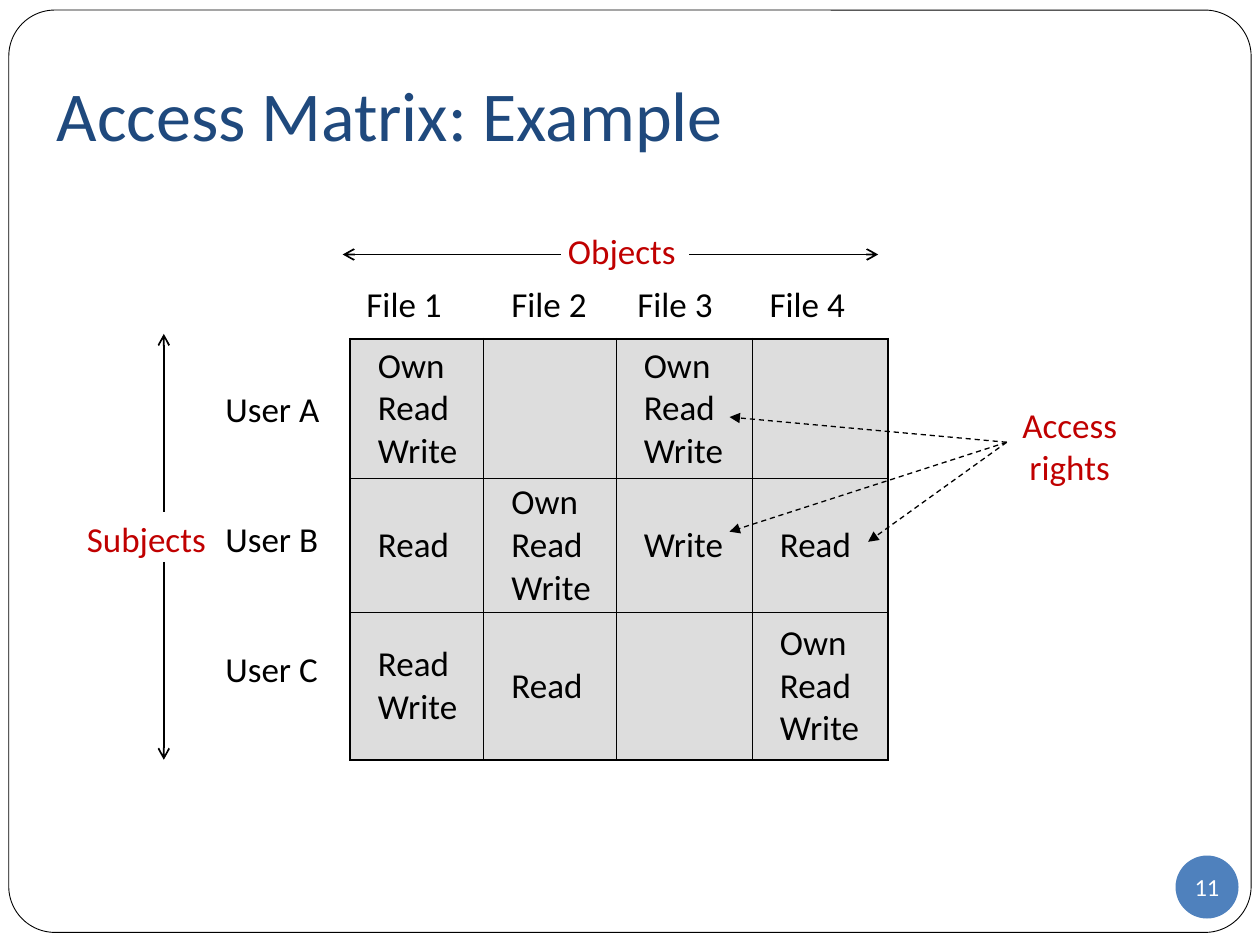
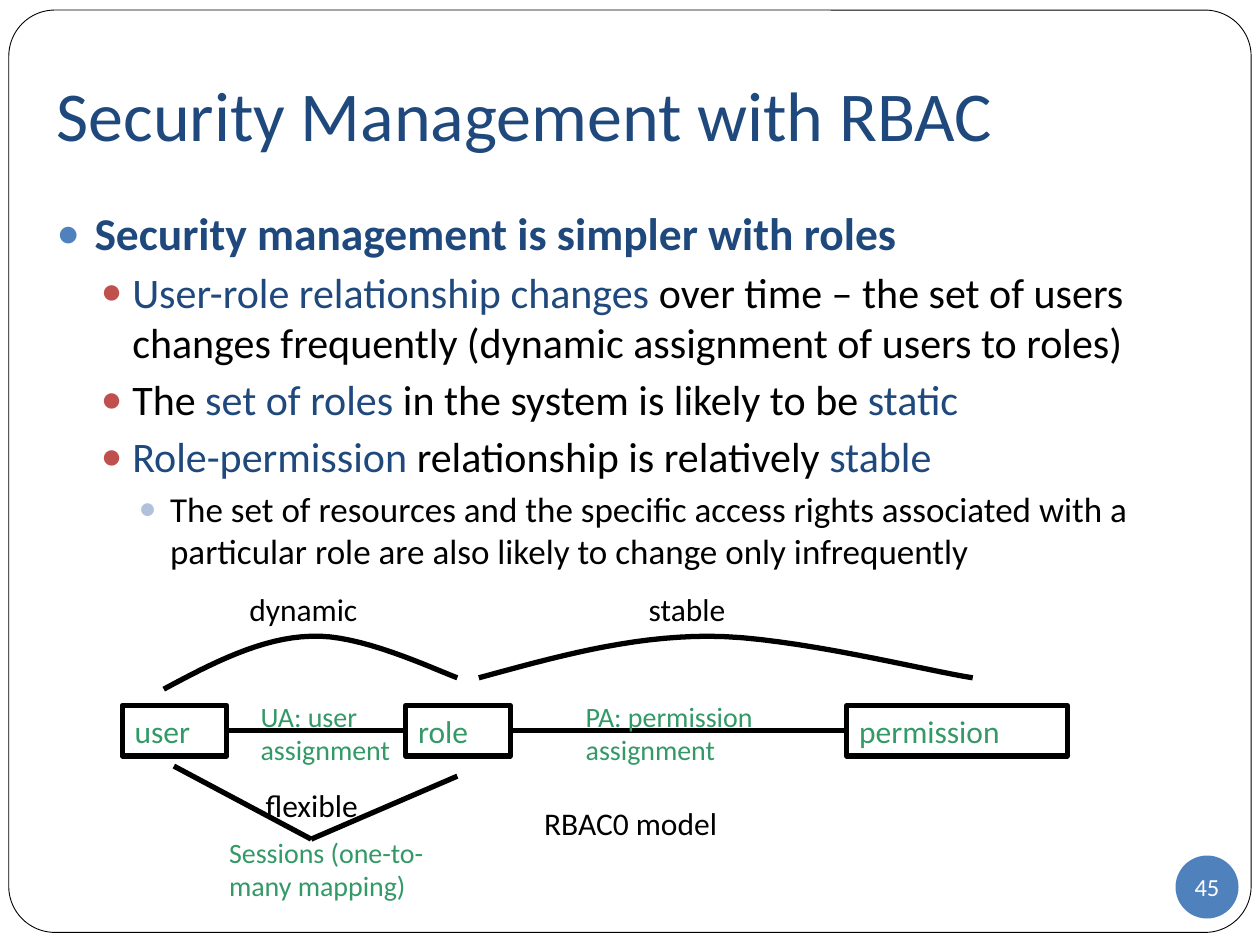
from dataclasses import dataclass
from typing import NamedTuple

from lxml.etree import SubElement
from pptx import Presentation
from pptx.dml.color import RGBColor
from pptx.enum.dml import MSO_LINE
from pptx.enum.shapes import MSO_CONNECTOR, MSO_SHAPE
from pptx.enum.text import MSO_ANCHOR, MSO_AUTO_SIZE, PP_ALIGN
from pptx.oxml.ns import qn
from pptx.util import Inches, Pt


@dataclass(frozen=True)
class Theme:
    font: str = "Calibri"
    black: str = "000000"
    white: str = "FFFFFF"
    navy: str = "1F497D"
    blue: str = "4F81BD"
    brick: str = "C0504D"
    pale_blue: str = "B2C1DB"
    red: str = "C00000"
    green: str = "339966"
    cell: str = "DDDDDD"
    title_size: float = 40
    matrix_size: float = 20
    box_size: float = 18
    note_size: float = 16
    number_size: float = 14
    frame_line: float = 0.5
    grid_line: float = 0.75
    axis_line: float = 1
    outer_line: float = 1.5
    heavy_line: float = 3


THEME = Theme()


class Point(NamedTuple):
    x: float
    y: float


class Label(NamedTuple):
    text: str
    left: float
    top: float
    width: float
    height: float
    size: float = THEME.matrix_size
    color: str = THEME.black
    align: PP_ALIGN = PP_ALIGN.LEFT


class Level(NamedTuple):
    size: float
    indent: float
    hanging: float
    space_before: float
    bullet_color: str
    bold: bool = False


class Bullet(NamedTuple):
    level: int
    phrases: list[tuple[str, str]]


LEVELS = [
    Level(26, 0.3, 0.3, 5.8, THEME.blue, bold=True),
    Level(24, 0.6, 0.25, 3.7, THEME.brick),
    Level(20, 0.9, 0.25, 3.7, THEME.pale_blue),
]


# Shared drawing functions
def rgb(color: str) -> RGBColor:
    return RGBColor.from_string(color)


def place(shape, left: float, top: float, width: float, height: float) -> None:
    shape.left, shape.top = Inches(left), Inches(top)
    shape.width, shape.height = Inches(width), Inches(height)


def set_margins(target, left: float, top: float, right: float, bottom: float) -> None:
    target.margin_left, target.margin_top = Inches(left), Inches(top)
    target.margin_right, target.margin_bottom = Inches(right), Inches(bottom)


def format_font(font, size: float, color: str, bold: bool = False) -> None:
    font.name, font.size, font.bold = THEME.font, Pt(size), bold
    font.color.rgb = rgb(color)


def write(frame, text: str, size: float, color: str, align=PP_ALIGN.LEFT) -> None:
    frame.text = text
    for paragraph in frame.paragraphs:
        paragraph.alignment = align
        for run in paragraph.runs:
            format_font(run.font, size, color)


def set_line(line, width: float) -> None:
    line.color.rgb, line.width = rgb(THEME.black), Pt(width)


def add_outline(slide, kind, left: float, top: float, width: float, height: float, line: float):
    shape = slide.shapes.add_shape(kind, Inches(left), Inches(top), Inches(width), Inches(height))
    shape.shadow.inherit = False
    shape.fill.background()
    set_line(shape.line, line)
    return shape


def add_label(slide, label: Label) -> None:
    box = slide.shapes.add_textbox(
        Inches(label.left), Inches(label.top), Inches(label.width), Inches(label.height))
    box.text_frame.word_wrap = True
    write(box.text_frame, label.text, label.size, label.color, label.align)


def add_line(slide, start: Point, end: Point, width: float, arrow: str = "", dashed: bool = False):
    line = slide.shapes.add_connector(
        MSO_CONNECTOR.STRAIGHT, *(Inches(value) for value in (*start, *end)))
    set_line(line.line, width)
    if dashed:
        line.line.dash_style = MSO_LINE.DASH
    properties = line.element.spPr
    if arrow:
        SubElement(properties.find(qn("a:ln")), qn("a:tailEnd"), type=arrow)
    SubElement(properties, qn("a:effectLst"))
    return line


def add_slide(deck, layout: int, title: str, number: str):
    slide = deck.slides.add_slide(deck.slide_layouts[layout])
    heading = slide.shapes.title
    place(heading, 0.35, 0.3, 9.37, 1.25)
    frame = heading.text_frame
    frame.auto_size, frame.vertical_anchor = MSO_AUTO_SIZE.NONE, MSO_ANCHOR.MIDDLE
    set_margins(frame, 0.1, 0.05, 0.1, 0.1)
    write(frame, title, THEME.title_size, THEME.navy)

    border = add_outline(slide, MSO_SHAPE.ROUNDED_RECTANGLE, 0.07, 0.08, 9.86, 7.32, THEME.frame_line)
    border.adjustments[0] = 0.05

    badge = add_outline(slide, MSO_SHAPE.OVAL, 9.33, 6.79, 0.5, 0.5, THEME.frame_line)
    badge.fill.solid()
    badge.fill.fore_color.rgb = rgb(THEME.blue)
    badge.line.fill.background()
    set_margins(badge.text_frame, 0, 0, 0, 0)
    badge.text_frame.word_wrap = False
    badge.text_frame.vertical_anchor = MSO_ANCHOR.MIDDLE
    write(badge.text_frame, number, THEME.number_size, THEME.white, PP_ALIGN.CENTER)
    return slide


# Access matrix
ALL_RIGHTS = "Own\nRead\nWrite"
RIGHTS = [
    [ALL_RIGHTS, "", ALL_RIGHTS, ""],
    ["Read", ALL_RIGHTS, "Write", "Read"],
    ["Read\nWrite", "Read", "", ALL_RIGHTS],
]
MATRIX_LEFT, MATRIX_TOP = 2.78, 2.69
COLUMN_WIDTHS = [1.06, 1.05, 1.08, 1.08]
ROW_HEIGHTS = [1.11, 1.06, 1.17]


def add_cell_borders(cell, row: int, column: int) -> None:
    outer_edges = {
        "a:lnL": column == 0,
        "a:lnR": column == len(COLUMN_WIDTHS) - 1,
        "a:lnT": row == 0,
        "a:lnB": row == len(ROW_HEIGHTS) - 1,
    }
    properties = cell._tc.get_or_add_tcPr()
    for edge, is_outer in outer_edges.items():
        width = THEME.outer_line if is_outer else THEME.grid_line
        border = SubElement(properties, qn(edge), w=str(int(Pt(width))))
        SubElement(SubElement(border, qn("a:solidFill")), qn("a:srgbClr"), val=THEME.black)


def add_matrix(slide) -> None:
    matrix = slide.shapes.add_table(
        len(ROW_HEIGHTS), len(COLUMN_WIDTHS), Inches(MATRIX_LEFT), Inches(MATRIX_TOP),
        Inches(sum(COLUMN_WIDTHS)), Inches(sum(ROW_HEIGHTS))).table
    matrix.first_row = matrix.horz_banding = False
    for column, width in zip(matrix.columns, COLUMN_WIDTHS):
        column.width = Inches(width)
    for row, height in zip(matrix.rows, ROW_HEIGHTS):
        row.height = Inches(height)
    for i, rights in enumerate(RIGHTS):
        for j, text in enumerate(rights):
            cell = matrix.cell(i, j)
            set_margins(cell, 0.22, 0, 0, 0)
            cell.vertical_anchor = MSO_ANCHOR.MIDDLE
            add_cell_borders(cell, i, j)
            cell.fill.solid()
            cell.fill.fore_color.rgb = rgb(THEME.cell)
            write(cell.text_frame, text, THEME.matrix_size, THEME.black)


def build_access_matrix(deck) -> None:
    slide = add_slide(deck, 5, "Access Matrix: Example", "11")
    add_matrix(slide)

    # Row and column headings
    for number, left in enumerate([2.81, 3.96, 4.96, 6.01], start=1):
        add_label(slide, Label(f"File {number}", left, 2.19, 0.97, 0.44))
    for user, top in zip("ABC", [3.03, 4.06, 5.09]):
        add_label(slide, Label(f"User {user}", 1.69, top, 1.02, 0.44))

    # Axes and their names
    add_label(slide, Label("Subjects", 0.59, 4.06, 1.18, 0.44, color=THEME.red))
    add_label(slide, Label("Objects", 4.41, 1.77, 1.06, 0.44, color=THEME.red))
    for start, end in [
        (Point(5.47, 2.02), Point(6.97, 2.02)),
        (Point(4.45, 2.02), Point(2.72, 2.02)),
        (Point(1.3, 4.06), Point(1.3, 2.65)),
        (Point(1.3, 4.46), Point(1.3, 6.03)),
    ]:
        add_line(slide, start, end, THEME.axis_line, arrow="arrow")

    # Pointers to sample access rights
    add_label(slide, Label("Access rights", 7.96, 3.15, 1.06, 0.77,
                           color=THEME.red, align=PP_ALIGN.CENTER))
    for target in [Point(6.89, 4.3), Point(5.79, 3.31), Point(5.79, 4.22)]:
        add_line(slide, Point(7.99, 3.51), target, THEME.grid_line, "triangle", dashed=True)


# Role-based access control
BULLETS = [
    Bullet(0, [("Security management is simpler with roles", THEME.navy)]),
    Bullet(1, [("User-role relationship changes", THEME.navy),
               (" over time – the set of users changes frequently "
                "(dynamic assignment of users to roles)", THEME.black)]),
    Bullet(1, [("The ", THEME.black), ("set of roles", THEME.navy),
               (" in the system is likely to be ", THEME.black), ("static", THEME.navy)]),
    Bullet(1, [("Role-permission", THEME.navy),
               (" relationship is relatively ", THEME.black), ("stable", THEME.navy)]),
    Bullet(2, [("The set of resources and the specific access rights associated with a "
                "particular role are also likely to change only infrequently", THEME.black)]),
]
RBAC_LABELS = [
    Label("UA: user assignment", 1.97, 5.5, 1.25, 0.64, THEME.note_size, THEME.green),
    Label("PA: permission assignment", 4.55, 5.5, 1.58, 0.64, THEME.note_size, THEME.green),
    Label("Sessions (one-to-many mapping)", 1.72, 6.58, 1.92, 0.64, THEME.note_size, THEME.green),
    Label("dynamic", 1.88, 4.63, 1.42, 0.4, THEME.box_size),
    Label("stable", 5.05, 4.63, 1.08, 0.4, THEME.box_size),
    Label("RBAC0 model", 4.22, 6.33, 2.25, 0.4, THEME.box_size),
    Label("flexible", 2.01, 6.19, 1.42, 0.4, THEME.box_size),
]
# Each arc is a start point followed by three control points per Bézier segment.
DYNAMIC_ARC = [Point(1.3, 5.47), Point(1.69, 5.26), Point(2.08, 5.06), Point(2.47, 5.05),
               Point(2.85, 5.03), Point(3.42, 5.3), Point(3.63, 5.38)]
STABLE_ARC = [Point(3.8, 5.38), Point(4.39, 5.22), Point(4.98, 5.05), Point(5.63, 5.05),
              Point(6.28, 5.05), Point(7.38, 5.33), Point(7.72, 5.38)]


def add_bullets(slide, bullets: list[Bullet]) -> None:
    body = slide.placeholders[1]
    place(body, 0.35, 1.58, 9.45, 5.63)
    frame = body.text_frame
    frame.auto_size = MSO_AUTO_SIZE.NONE
    for index, bullet in enumerate(bullets):
        level = LEVELS[bullet.level]
        paragraph = frame.add_paragraph() if index else frame.paragraphs[0]
        paragraph.level, paragraph.space_before = bullet.level, Pt(level.space_before)
        for text, color in bullet.phrases:
            run = paragraph.add_run()
            run.text = text
            format_font(run.font, level.size, color, level.bold)
        properties = paragraph._p.get_or_add_pPr()
        properties.set("marL", str(int(Inches(level.indent))))
        properties.set("indent", str(-int(Inches(level.hanging))))
        SubElement(SubElement(properties, qn("a:buClr")), qn("a:srgbClr"), val=level.bullet_color)
        SubElement(properties, qn("a:buSzPct"), val="85000")
        SubElement(properties, qn("a:buFont"), typeface="Arial")
        SubElement(properties, qn("a:buChar"), char="●")


def add_arc(slide, points: list[Point], steps: int = 16) -> None:
    def blend(t: float, *values: float) -> int:
        weights = ((1 - t) ** 3, 3 * t * (1 - t) ** 2, 3 * t * t * (1 - t), t ** 3)
        return Inches(sum(w * v for w, v in zip(weights, values)))

    curve = [(blend(step / steps, *(p.x for p in points[i:i + 4])),
              blend(step / steps, *(p.y for p in points[i:i + 4])))
             for i in range(0, len(points) - 1, 3) for step in range(1, steps + 1)]
    builder = slide.shapes.build_freeform(Inches(points[0].x), Inches(points[0].y))
    builder.add_line_segments(curve, close=False)
    arc = builder.convert_to_shape()
    arc.shadow.inherit = False
    arc.fill.background()
    set_line(arc.line, THEME.heavy_line)


def add_entity(slide, text: str, left: float, width: float):
    entity = add_outline(slide, MSO_SHAPE.RECTANGLE, left, 5.6, width, 0.4, THEME.heavy_line)
    entity.text_frame.vertical_anchor = MSO_ANCHOR.TOP
    write(entity.text_frame, text, THEME.box_size, THEME.green)
    return entity


def build_rbac(deck) -> None:
    slide = add_slide(deck, 1, "Security Management with RBAC", "45")
    add_bullets(slide, BULLETS)

    # Entities joined in a chain
    user = add_entity(slide, "user", 0.97, 0.83)
    role = add_entity(slide, "role", 3.22, 0.83)
    permission = add_entity(slide, "permission", 6.72, 1.75)
    for source, target in [(user, role), (role, permission)]:
        assignment = add_line(slide, Point(0, 0), Point(1, 0), THEME.heavy_line)
        assignment.begin_connect(source, 3)
        assignment.end_connect(target, 1)

    # Session links and relationship arcs
    session = Point(2.47, 6.66)
    add_line(slide, Point(1.38, 6.08), session, THEME.heavy_line)
    add_line(slide, session, Point(3.63, 6.16), THEME.heavy_line)
    for arc in (DYNAMIC_ARC, STABLE_ARC):
        add_arc(slide, arc)
    for label in RBAC_LABELS:
        add_label(slide, label)


def main() -> None:
    deck = Presentation()
    deck.slide_width, deck.slide_height = Inches(10), Inches(7.5)
    build_access_matrix(deck)
    build_rbac(deck)
    deck.save("out.pptx")


if __name__ == "__main__":
    main()
